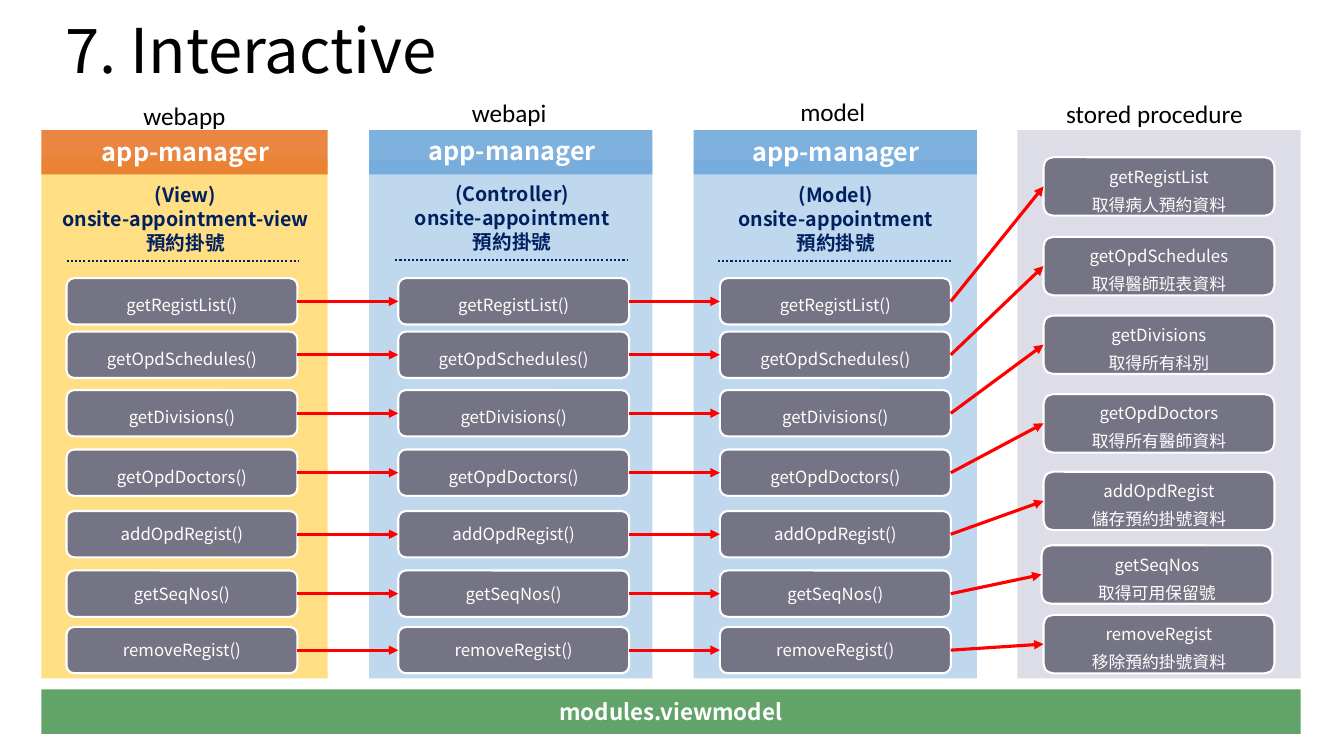
from dataclasses import dataclass

from lxml import etree
from pptx import Presentation
from pptx.dml.color import RGBColor
from pptx.enum.dml import MSO_LINE
from pptx.enum.shapes import MSO_CONNECTOR, MSO_SHAPE
from pptx.enum.text import MSO_ANCHOR, PP_ALIGN
from pptx.oxml.ns import qn
from pptx.shapes.autoshape import Shape
from pptx.shapes.connector import Connector
from pptx.slide import Slide
from pptx.util import Emu, Pt

RECTANGLE, ROUNDED = MSO_SHAPE.RECTANGLE, MSO_SHAPE.ROUNDED_RECTANGLE
STRAIGHT = MSO_CONNECTOR.STRAIGHT
LEFT, CENTER = PP_ALIGN.LEFT, PP_ALIGN.CENTER
TOP, MIDDLE = MSO_ANCHOR.TOP, MSO_ANCHOR.MIDDLE
DOTTED = MSO_LINE.ROUND_DOT
LEFT_SIDE, RIGHT_SIDE = 1, 3

PX = 9144  # 100 px to the inch
SANS, CAPTION_FONT = "Noto Sans CJK SC", "Calibri"
COLORS = {
    "black": "000000", "white": "FFFFFF", "navy": "002060", "red": "FF0000",
    "yellow": "FFDB75", "orange": "E9782B", "pale blue": "B9D4ED",
    "blue": "6FA8DB", "lavender": "D8D9E4", "grey": "757484", "green": "61A369",
}
PANEL_OPACITY = 89
PANEL_TOP, PANEL_BOTTOM = 129, 673
HEADER_HEIGHT, TEXT_WIDTH = 44, 284
BOX_WIDTH, METHOD_HEIGHT, PROCEDURE_HEIGHT = 229, 46, 58


@dataclass(frozen=True)
class Box:
    left: int
    top: int
    width: int
    height: int

    def emu(self) -> list[Emu]:
        return [Emu(v * PX) for v in (self.left, self.top, self.width, self.height)]


@dataclass(frozen=True)
class TextStyle:
    size: int
    color: str
    font: str = SANS
    bold: bool = False
    alignment: PP_ALIGN = CENTER
    anchor: MSO_ANCHOR = TOP
    line_spacing: float | Pt | None = None


@dataclass(frozen=True)
class Tier:
    caption: str
    caption_left: int
    caption_top: int
    panel_left: int
    panel_width: int
    body_top: int
    body_color: str
    header_color: str
    title_left: int
    title_top: int
    heading: str
    heading_top: int
    rule_left: int
    rule_top: int
    method_left: int


@dataclass(frozen=True)
class Call:
    name: str
    description: str
    method_top: int
    procedure_top: int
    procedure_left: int = 1035
    spacing: Pt | None = None


TIERS = [
    Tier("webapp", 41, 95, 41, 284, 156, "yellow", "orange", 42, 130,
         "(View)\nonsite-appointment-view\n預約掛號", 177, 66, 259, 66),
    Tier("webapi", 363, 92, 366, 281, 159, "pale blue", "blue", 366, 129,
         "(Controller)\nonsite-appointment\n預約掛號", 176, 392, 258, 395),
    Tier("model", 684, 91, 688, 281, 159, "pale blue", "blue", 687, 130,
         "(Model)\nonsite-appointment\v預約掛號", 177, 712, 259, 714),
]
LOOSE = Pt(20)
CALLS = [
    Call("getRegistList", "取得病人預約資料", 276, 156, spacing=LOOSE),
    Call("getOpdSchedules", "取得醫師班表資料", 329, 235, spacing=LOOSE),
    Call("getDivisions", "取得所有科別", 387, 313, spacing=LOOSE),
    Call("getOpdDoctors", "取得所有醫師資料", 446, 391, spacing=LOOSE),
    Call("addOpdRegist", "儲存預約掛號資料", 507, 468),
    Call("getSeqNos", "取得可用保留號", 566, 541, procedure_left=1033),
    Call("removeRegist", "移除預約掛號資料", 622, 610),
]
TITLE = TextStyle(44, "black", alignment=LEFT, anchor=MIDDLE, line_spacing=0.9)
CAPTION = TextStyle(18, "black", CAPTION_FONT)
APP_NAME = TextStyle(18, "white", bold=True)
HEADING = TextStyle(14, "navy", bold=True)
FOOTER = TextStyle(16, "white", bold=True, anchor=MIDDLE)


def rgb(color: str) -> RGBColor:
    return RGBColor.from_string(COLORS[color])


def write_text(shape: Shape, text: str, style: TextStyle) -> None:
    frame = shape.text_frame
    frame.word_wrap = True
    frame.vertical_anchor = style.anchor
    frame.text = text
    font_format = {"size": Pt(style.size), "name": style.font, "bold": style.bold}
    for paragraph in frame.paragraphs:
        paragraph.alignment = style.alignment
        paragraph.line_spacing = style.line_spacing
        for run in paragraph.runs:
            for attribute, value in font_format.items():
                setattr(run.font, attribute, value)
            run.font.color.rgb = rgb(style.color)
            east_asian = etree.SubElement(run.font._element, qn("a:ea"))
            east_asian.set("typeface", style.font)


def add_text(slide: Slide, box: Box, text: str, style: TextStyle) -> None:
    write_text(slide.shapes.add_textbox(*box.emu()), text, style)


def add_block(slide: Slide, box: Box, color: str, opacity: int = 100) -> Shape:
    """Add a plain rectangle without outline."""
    block = slide.shapes.add_shape(RECTANGLE, *box.emu())
    block.shadow.inherit = False
    block.fill.solid()
    block.fill.fore_color.rgb = rgb(color)
    block.line.fill.background()
    if opacity < 100:
        fill_color = block._element.spPr.find(qn("a:solidFill"))[0]
        etree.SubElement(fill_color, qn("a:alpha")).set("val", str(opacity * 1000))
    return block


def add_function(slide: Slide, box: Box, text: str, spacing: Pt | None) -> Shape:
    """Add a rounded grey box that names a method or procedure."""
    shape = slide.shapes.add_shape(ROUNDED, *box.emu())
    shape.shadow.inherit = False
    shape.fill.solid()
    shape.fill.fore_color.rgb = rgb("grey")
    shape.line.color.rgb = rgb("white")
    shape.line.width = Pt(1.5)
    write_text(shape, text, TextStyle(12, "white", anchor=MIDDLE, line_spacing=spacing))
    return shape


def add_line(slide: Slide, start: tuple[int, int], end: tuple[int, int],
             color: str, width: float) -> Connector:
    points = [Emu(v * PX) for v in (*start, *end)]
    connector = slide.shapes.add_connector(STRAIGHT, *points)
    connector.line.color.rgb = rgb(color)
    connector.line.width = Pt(width)
    etree.SubElement(connector._element.spPr, qn("a:effectLst"))
    return connector


def add_arrow(slide: Slide, source: Shape, target: Shape) -> None:
    arrow = add_line(slide, (0, 0), (0, 0), "red", 2.25)
    arrow.begin_connect(source, RIGHT_SIDE)
    arrow.end_connect(target, LEFT_SIDE)
    etree.SubElement(arrow.line._get_or_add_ln(), qn("a:tailEnd")).set("type", "triangle")


def add_tier(slide: Slide, tier: Tier) -> None:
    left, width = tier.panel_left, tier.panel_width
    body = Box(left, tier.body_top, width, PANEL_BOTTOM - tier.body_top)
    add_block(slide, body, tier.body_color, PANEL_OPACITY)
    header = Box(left, PANEL_TOP, width, HEADER_HEIGHT)
    add_block(slide, header, tier.header_color, PANEL_OPACITY)
    add_text(slide, Box(tier.title_left, tier.title_top, TEXT_WIDTH, 40),
             "app-manager", APP_NAME)
    add_text(slide, Box(tier.title_left, tier.heading_top, TEXT_WIDTH, 81),
             tier.heading, HEADING)
    rule = add_line(slide, (tier.rule_left, tier.rule_top),
                    (tier.rule_left + 231, tier.rule_top), "navy", 1.5)
    rule.line.dash_style = DOTTED
    add_text(slide, Box(tier.caption_left, tier.caption_top, TEXT_WIDTH, 40),
             tier.caption, CAPTION)


def add_call(slide: Slide, call: Call) -> None:
    """Add one call through every tier to its stored procedure."""
    chain = [
        add_function(slide, Box(tier.method_left, call.method_top, BOX_WIDTH, METHOD_HEIGHT),
                     f"{call.name}()", call.spacing)
        for tier in TIERS
    ]
    procedure = Box(call.procedure_left, call.procedure_top, BOX_WIDTH, PROCEDURE_HEIGHT)
    chain.append(add_function(slide, procedure, f"{call.name}\v{call.description}", LOOSE))
    for source, target in zip(chain, chain[1:]):
        add_arrow(slide, source, target)


def main() -> None:
    presentation = Presentation()
    presentation.slide_width, presentation.slide_height = Emu(1333 * PX), Emu(750 * PX)
    slide = presentation.slides.add_slide(presentation.slide_layouts[6])
    add_text(slide, Box(55, 14, 1217, 78), "7. Interactive", TITLE)
    for tier in TIERS:
        add_tier(slide, tier)
    procedures = Box(1009, PANEL_TOP, 281, PANEL_BOTTOM - PANEL_TOP)
    add_block(slide, procedures, "lavender", PANEL_OPACITY)
    add_text(slide, Box(1003, 93, TEXT_WIDTH, 40), "stored procedure", CAPTION)
    for call in CALLS:
        add_call(slide, call)
    footer = add_block(slide, Box(41, 684, 1249, HEADER_HEIGHT), "green")
    write_text(footer, "modules.viewmodel", FOOTER)
    presentation.save("out.pptx")


if __name__ == "__main__":
    main()
